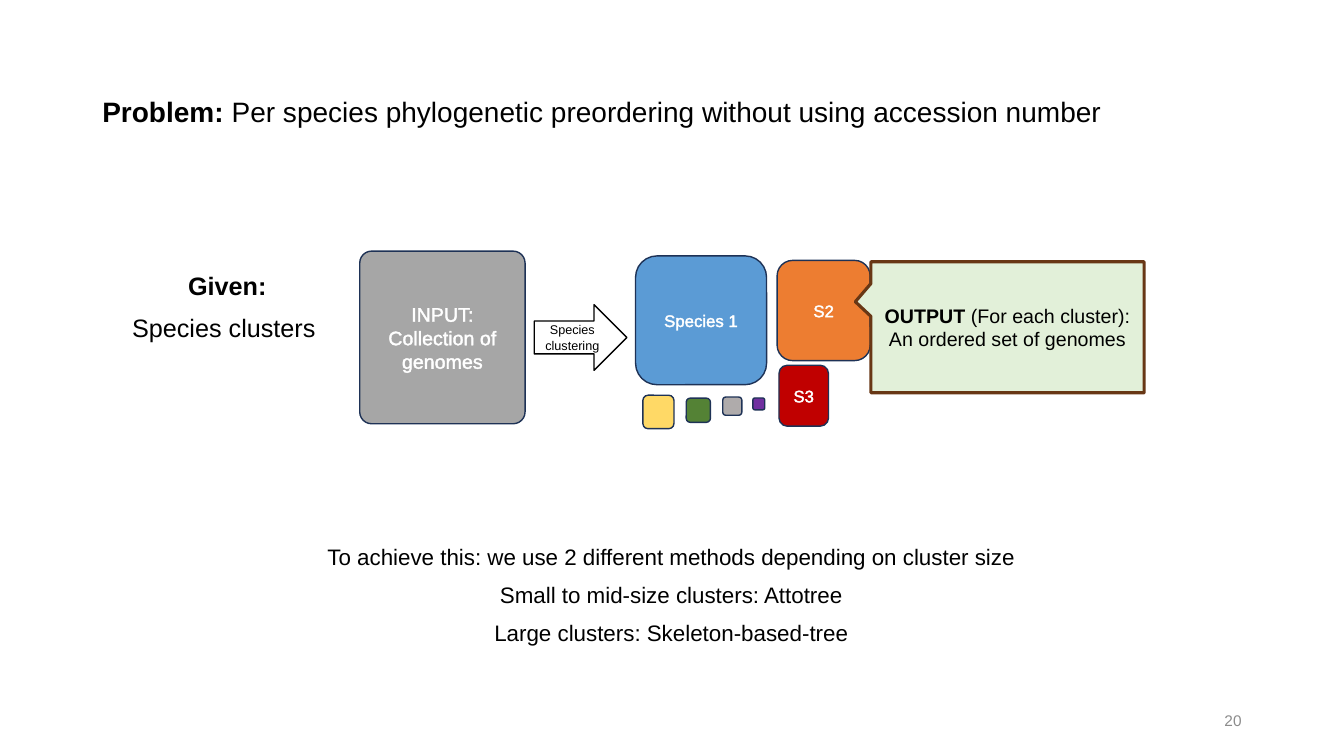
from lxml import etree
from pptx import Presentation
from pptx.dml.color import RGBColor
from pptx.enum.shapes import MSO_SHAPE
from pptx.enum.text import MSO_ANCHOR, PP_ALIGN
from pptx.oxml import parse_xml
from pptx.util import Pt

LEFT, CENTER, RIGHT = PP_ALIGN.LEFT, PP_ALIGN.CENTER, PP_ALIGN.RIGHT
TOP, MIDDLE = MSO_ANCHOR.TOP, MSO_ANCHOR.MIDDLE
ROUND, ARROW = MSO_SHAPE.ROUNDED_RECTANGLE, MSO_SHAPE.RIGHT_ARROW
CALLOUT = MSO_SHAPE.RECTANGULAR_CALLOUT
NAVY, BLACK, WHITE = "1E3256", "000000", "FFFFFF"
OUTLINE = (
    '<a:ln xmlns:a="http://schemas.openxmlformats.org/drawingml/2006/main" w="9525">'
    '<a:solidFill><a:srgbClr val="FFFFFF"/></a:solidFill></a:ln>'
)


def rgb(value):
    return RGBColor.from_string(value)


def write(sp, paragraphs, size, color=BLACK, align=CENTER, anchor=MIDDLE, spaced=False):
    tf = sp.text_frame
    tf.word_wrap = True
    tf.vertical_anchor = anchor
    for i, runs in enumerate(paragraphs):
        p = tf.add_paragraph() if i else tf.paragraphs[0]
        p.alignment = align
        if spaced:
            p.line_spacing = 0.9
            p.space_before = Pt(10 if i else 0)
        for text, bold in runs:
            r = p.add_run()
            r.text = text
            r.font.name = "Arial"
            r.font.size = Pt(size)
            r.font.bold = bold
            r.font.color.rgb = rgb(color)
            if color == WHITE:
                r.font._element.insert(0, parse_xml(OUTLINE))


prs = Presentation()
prs.slide_width, prs.slide_height = Pt(960), Pt(540)
s = prs.slides.add_slide(prs.slide_layouts[6])

title = [[("Problem: ", True),
          ("Per species phylogenetic preordering without using accession number", False)]]
given = [[("Given:", True)], [("Species clusters ", False)]]
methods = [
    [("To achieve this: we use 2 different methods depending on cluster size", False)],
    [("Small to mid-size clusters: Attotree", False)],
    [("Large clusters: Skeleton-based-tree", False)],
]
texts = [
    ((66, 28.75, 828, 104.4), title, 20, BLACK, LEFT, MIDDLE, True),
    ((72, 192.25, 180.7, 77.75), given, 18, BLACK, CENTER, TOP, True),
    ((678, 500.5, 216, 28.75), [[("20", False)]], 11, "8C8C8C", RIGHT, MIDDLE, False),
    ((162, 386.65, 635, 92.15), methods, 16, BLACK, CENTER, TOP, True),
]
for box, paragraphs, size, color, align, anchor, spaced in texts:
    sp = s.shapes.add_textbox(*map(Pt, box))
    write(sp, paragraphs, size, color, align, anchor, spaced)

source = [[("INPUT:", False)], [("Collection of genomes", False)]]
output = [[("OUTPUT", True), (" (For each cluster):", False)],
          [("An ordered set of genomes", False)]]
shapes = [
    (ROUND, (257, 179.4, 118.1, 123.3), [0.072], "A6A6A6", NAVY, 1, source, 14, WHITE),
    (ARROW, (381.6, 217.6, 66.2, 46.9), [], WHITE, BLACK, 1,
     [[("Species clustering", False)]], 9, BLACK),
    (ROUND, (454, 182.8, 93.6, 92), [], "5B9BD5", NAVY, 1,
     [[("Species 1", False)]], 12, WHITE),
    (ROUND, (555.1, 186, 66.5, 71.6), [], "ED7D31", NAVY, 1, [[("S2", False)]], 12, WHITE),
    (ROUND, (556.4, 260.9, 35.4, 43.5), [], "C00000", NAVY, 1, [[("S3", False)]], 12, WHITE),
    (ROUND, (490.2, 284.4, 17.3, 17.3), [], "548235", NAVY, 1, [], 12, WHITE),
    (ROUND, (459.2, 282.3, 22.2, 23.9), [], "FFD966", NAVY, 1, [], 12, WHITE),
    (ROUND, (516.3, 283.6, 13.6, 13), [], "AFABAB", NAVY, 1, [], 12, WHITE),
    (ROUND, (537.8, 284.3, 8.5, 8.5), [], "7030A0", NAVY, 1, [], 12, WHITE),
    (CALLOUT, (622.1, 187, 195.2, 93.6), [-0.557, -0.195], "E2F0D9", "683715", 2.25,
     output, 14, BLACK),
]
for kind, box, adjustments, fill, line, width, paragraphs, size, color in shapes:
    sp = s.shapes.add_shape(kind, *map(Pt, box))
    sp.shadow.inherit = False
    for i, value in enumerate(adjustments):
        sp.adjustments[i] = value
    sp.fill.solid()
    sp.fill.fore_color.rgb = rgb(fill)
    sp.line.color.rgb = rgb(line)
    sp.line.width = Pt(width)
    write(sp, paragraphs, size, color)

prs.save("out.pptx")
